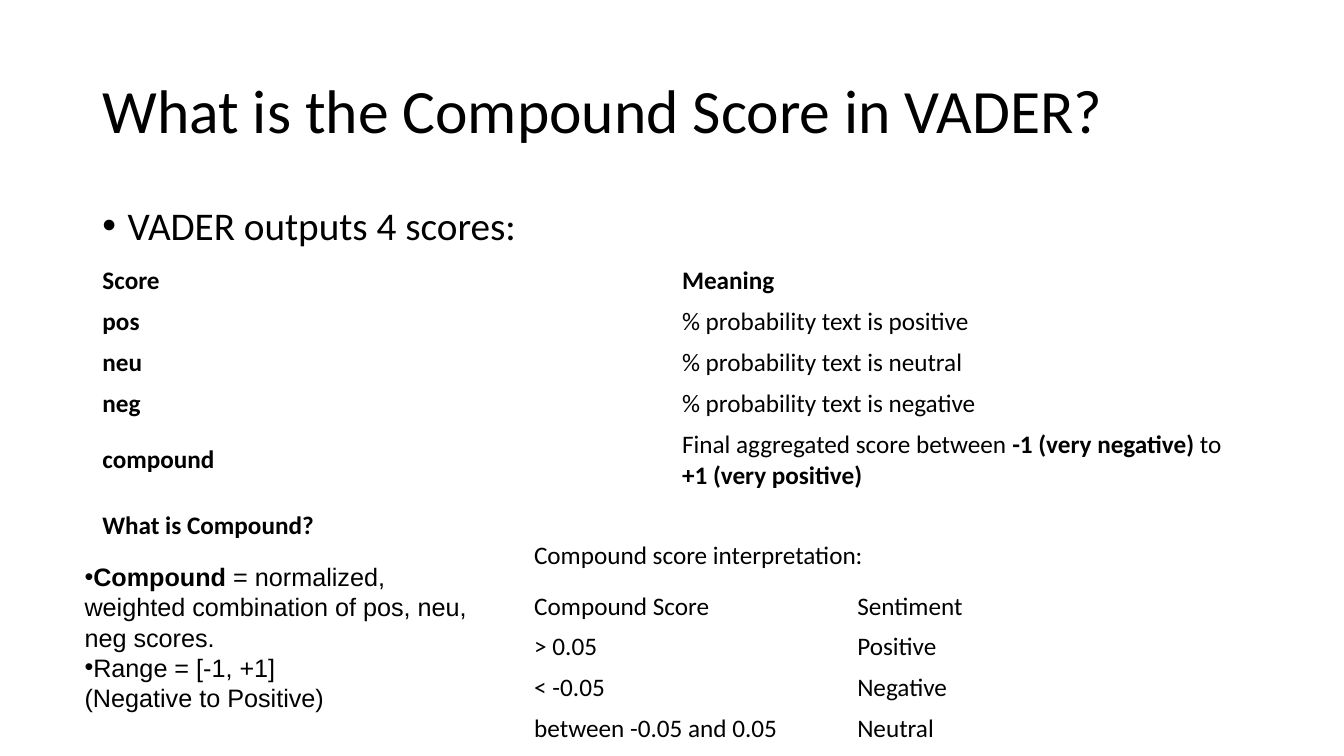
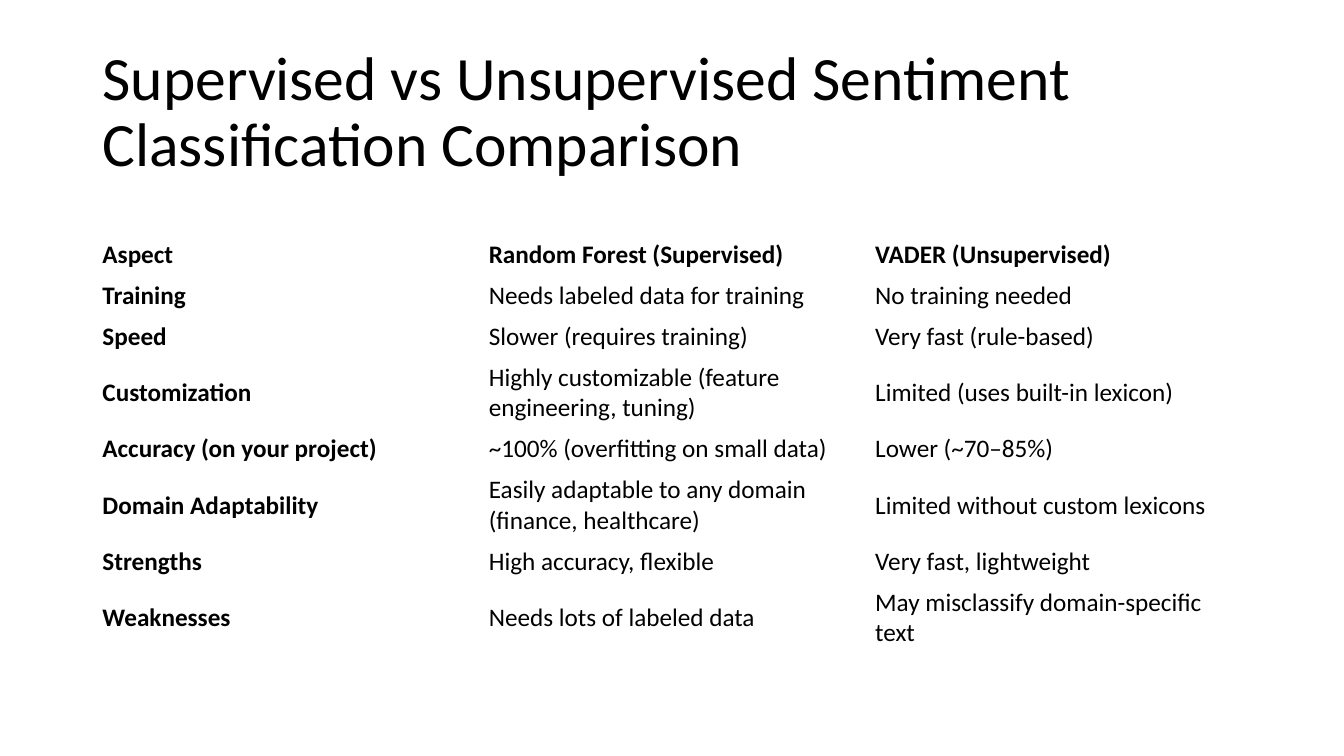
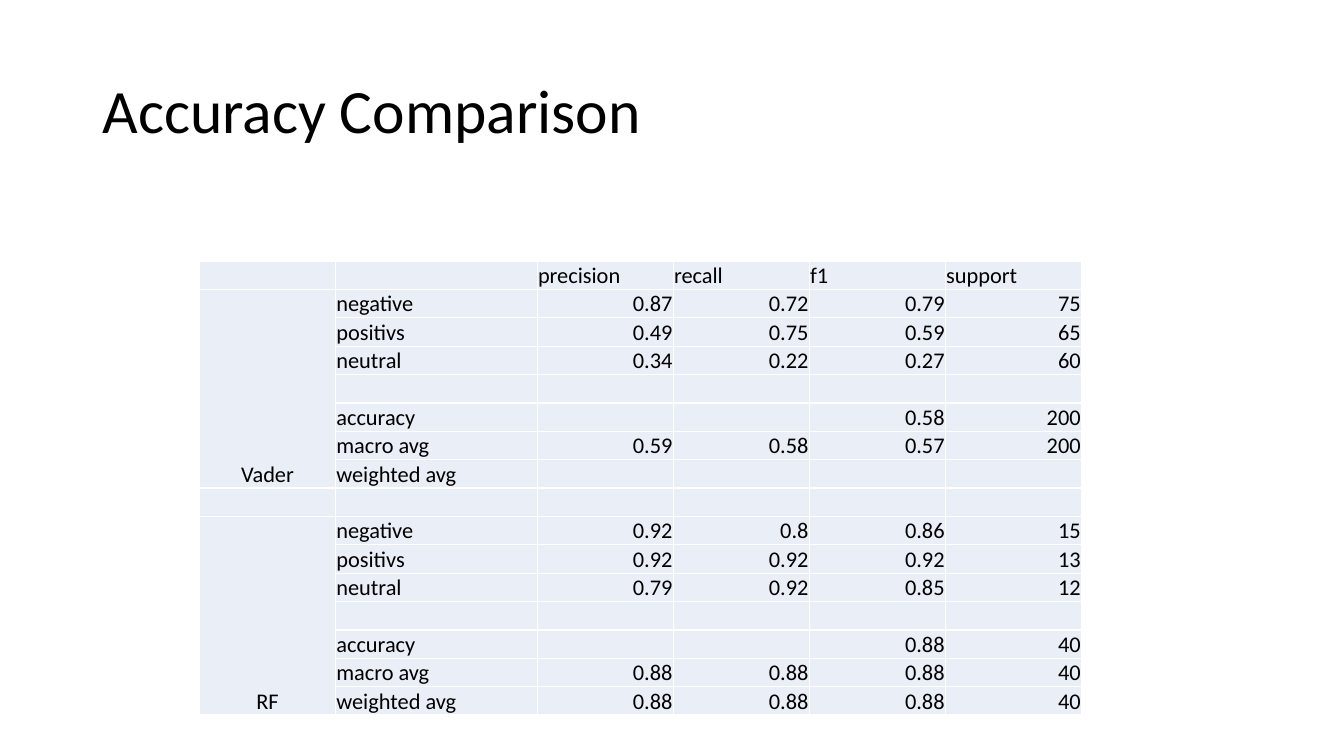
from collections import namedtuple
from dataclasses import dataclass

from pptx import Presentation
from pptx.dml.color import RGBColor
from pptx.enum.text import MSO_ANCHOR, MSO_AUTO_SIZE, PP_ALIGN
from pptx.oxml.xmlchemy import OxmlElement
from pptx.util import Pt

LEFT, CENTER, RIGHT = PP_ALIGN.LEFT, PP_ALIGN.CENTER, PP_ALIGN.RIGHT
TOP, MIDDLE, BOTTOM = MSO_ANCHOR.TOP, MSO_ANCHOR.MIDDLE, MSO_ANCHOR.BOTTOM
NO_FIT, GROW = MSO_AUTO_SIZE.NONE, MSO_AUTO_SIZE.SHAPE_TO_FIT_TEXT
TITLE_AND_CONTENT, TITLE_ONLY = 1, 5

Box = namedtuple("Box", "left top width height")


@dataclass(frozen=True)
class Theme:
    font: str = "Calibri"
    note_font: str = "Arial"
    ink: RGBColor = RGBColor(0, 0, 0)
    cell_fill: RGBColor = RGBColor(0xEA, 0xEF, 0xF7)
    border: str = "FFFFFF"
    title_size: float = 44
    list_size: float = 28
    text_size: float = 18
    grid_size: float = 16
    line_spacing: float = 0.9
    title_box: Box = Box(66, 28.8, 828, 104.4)


THEME = Theme()

SCORES = [
    ["**Score**", "**Meaning**"],
    ["**pos**", "% probability text is positive"],
    ["**neu**", "% probability text is neutral"],
    ["**neg**", "% probability text is negative"],
    ["**compound**",
     "Final aggregated score between **-1 (very negative)** to **+1 (very positive)**"],
]
INTERPRETATION = [
    ["Compound Score", "Sentiment"],
    ["> 0.05", "Positive"],
    ["< -0.05", "Negative"],
    ["between -0.05 and 0.05", "Neutral"],
]
COMPARISON = [
    ["**Aspect**", "**Random Forest (Supervised)**", "**VADER (Unsupervised)**"],
    ["**Training**", "Needs labeled data for training", "No training needed"],
    ["**Speed**", "Slower (requires training)", "Very fast (rule-based)"],
    ["**Customization**", "Highly customizable (feature engineering, tuning)",
     "Limited (uses built-in lexicon)"],
    ["**Accuracy (on your project)**", "~100% (overfitting on small data)",
     "Lower (~70–85%)"],
    ["**Domain Adaptability**", "Easily adaptable to any domain (finance, healthcare)",
     "Limited without custom lexicons"],
    ["**Strengths**", "High accuracy, flexible", "Very fast, lightweight"],
    ["**Weaknesses**", "Needs lots of labeled data",
     "May misclassify domain-specific text"],
]
METRICS = ["precision", "recall", "f1", "support"]
RESULT_LABELS = ["negative", "positivs", "neutral", "",
                 "accuracy", "macro avg", "weighted avg"]
BLANK = [""] * len(METRICS)
RESULTS = {
    "Vader": [
        ["0.87", "0.72", "0.79", "75"],
        ["0.49", "0.75", "0.59", "65"],
        ["0.34", "0.22", "0.27", "60"],
        BLANK,
        ["", "", "0.58", "200"],
        ["0.59", "0.58", "0.57", "200"],
        BLANK,
    ],
    "RF": [
        ["0.92", "0.8", "0.86", "15"],
        ["0.92", "0.92", "0.92", "13"],
        ["0.79", "0.92", "0.85", "12"],
        BLANK,
        ["", "", "0.88", "40"],
        ["0.88", "0.88", "0.88", "40"],
        ["0.88", "0.88", "0.88", "40"],
    ],
}


def in_points(box):
    return [Pt(length) for length in box]


def write(paragraph, text, size, font=THEME.font):
    """Write text in which **double stars** enclose bold words and \\n breaks a line."""
    for part_index, part in enumerate(text.split("**")):
        for line_index, line in enumerate(part.split("\n")):
            if line_index:
                paragraph.add_line_break()
            if not line:
                continue
            run = paragraph.add_run()
            run.text = line
            run.font.name = font
            run.font.size = Pt(size)
            run.font.bold = part_index % 2 == 1
            run.font.color.rgb = THEME.ink
    if not text:
        end_properties = OxmlElement("a:endParaRPr")
        end_properties.set("sz", str(int(size * 100)))
        paragraph._p.append(end_properties)


def set_bullet(paragraph, indent=0):
    properties = paragraph._p.get_or_add_pPr()
    properties.set("marL", str(Pt(indent)))
    properties.set("indent", str(-Pt(indent)))
    bullet_font = OxmlElement("a:buFont")
    bullet_font.set("typeface", "Arial")
    bullet = OxmlElement("a:buChar")
    bullet.set("char", "•")
    properties.extend([bullet_font, bullet])


def fill_placeholder(shape, box, text, size, anchor):
    shape.left, shape.top, shape.width, shape.height = in_points(box)
    frame = shape.text_frame
    frame.auto_size = NO_FIT
    frame.vertical_anchor = anchor
    paragraph = frame.paragraphs[0]
    paragraph.alignment = LEFT
    paragraph.line_spacing = THEME.line_spacing
    write(paragraph, text, size)
    return paragraph


def add_slide(presentation, layout, title):
    slide = presentation.slides.add_slide(presentation.slide_layouts[layout])
    fill_placeholder(slide.shapes.title, THEME.title_box, title,
                     THEME.title_size, MIDDLE)
    return slide


def add_label(slide, box, text):
    frame = slide.shapes.add_textbox(*in_points(box)).text_frame
    frame.word_wrap = False
    frame.auto_size = GROW
    write(frame.paragraphs[0], text, THEME.text_size)


def add_notes_list(slide, box, items):
    frame = slide.shapes.add_textbox(*in_points(box)).text_frame
    frame.word_wrap = True
    frame.auto_size = GROW
    frame.vertical_anchor = MIDDLE
    for index, item in enumerate(items):
        paragraph = frame.add_paragraph() if index else frame.paragraphs[0]
        set_bullet(paragraph)
        write(paragraph, item, THEME.text_size, THEME.note_font)


def add_plain_table(slide, box, rows, column_widths, size):
    """Add an unfilled table whose rows share the height of the box."""
    table = slide.shapes.add_table(len(rows), len(rows[0]), *in_points(box)).table
    table.first_row = table.horz_banding = False
    for column, width in zip(table.columns, column_widths):
        column.width = Pt(width)
    for row, texts in zip(table.rows, rows):
        row.height = Pt(round(box.height / len(rows), 2))
        for cell, text in zip(row.cells, texts):
            cell.fill.background()
            cell.vertical_anchor = MIDDLE
            write(cell.text_frame.paragraphs[0], text, size)
    return table


def add_text_table(slide, left, top, width, rows):
    columns = len(rows[0])
    minimum_row = 29
    box = Box(left, top, width, minimum_row * len(rows))
    add_plain_table(slide, box, rows, [width / columns] * columns, THEME.text_size)


def add_borders(cell):
    properties = cell._tc.get_or_add_tcPr()
    for index, side in enumerate(("lnL", "lnR", "lnT", "lnB")):
        line = OxmlElement(f"a:{side}")
        line.set("w", str(Pt(1)))
        fill = OxmlElement("a:solidFill")
        color = OxmlElement("a:srgbClr")
        color.set("val", THEME.border)
        fill.append(color)
        line.append(fill)
        properties.insert(index, line)


def add_results_table(slide, box):
    rows = [["", ""] + METRICS]
    group_starts = []
    for name, values in RESULTS.items():
        if group_starts:
            rows.append(["", ""] + BLANK)
        group_starts.append(len(rows))
        for index, (label, numbers) in enumerate(zip(RESULT_LABELS, values)):
            rows.append(["" if index else name, label] + numbers)

    label_width = 144
    metric_width = (box.width - label_width) / (len(METRICS) + 1)
    widths = [metric_width, label_width] + [metric_width] * len(METRICS)
    table = add_plain_table(slide, box, rows, widths, THEME.grid_size)
    for row_index, row in enumerate(table.rows):
        for column_index, cell in enumerate(row.cells):
            cell.fill.solid()
            cell.fill.fore_color.rgb = THEME.cell_fill
            cell.vertical_anchor = BOTTOM
            cell.margin_left = cell.margin_right = cell.margin_top = Pt(0.6)
            cell.margin_bottom = 0
            add_borders(cell)
            paragraph = cell.text_frame.paragraphs[0]
            if column_index == 0:
                paragraph.alignment = CENTER
            elif column_index > 1 and row_index:
                paragraph.alignment = RIGHT
    for start in group_starts:
        last = start + len(RESULT_LABELS) - 1
        table.cell(start, 0).merge(table.cell(last, 0))


def build_compound_slide(presentation):
    slide = add_slide(presentation, TITLE_AND_CONTENT,
                      "What is the Compound Score in VADER?")
    left, _, width, _ = THEME.title_box
    item = fill_placeholder(slide.placeholders[1], Box(left, 144, width, 215.3),
                            "VADER outputs 4 scores:", THEME.list_size, TOP)
    item.space_before = Pt(10)
    set_bullet(item, 18)
    add_text_table(slide, left, 186.2, width, SCORES)
    add_label(slide, Box(left, 360, 167, 29), "**What is Compound?**")
    add_notes_list(slide, Box(53.3, 396.7, 296.6, 116.6), [
        "**Compound** = normalized, weighted combination of pos, neu, neg scores.",
        "Range = [-1, +1]\n(Negative to Positive)",
    ])
    add_label(slide, Box(374.4, 382, 252, 29), "Compound score interpretation:")
    add_text_table(slide, 374.4, 418.8, 461.5, INTERPRETATION)


def build_comparison_slide(presentation):
    slide = add_slide(presentation, TITLE_ONLY,
                      "Supervised vs Unsupervised Sentiment Classification Comparison")
    add_text_table(slide, THEME.title_box.left, 167.5, THEME.title_box.width, COMPARISON)


def build_accuracy_slide(presentation):
    slide = add_slide(presentation, TITLE_ONLY, "Accuracy Comparison")
    add_results_table(slide, Box(142.5, 186.5, 630, 324.5))


def main():
    presentation = Presentation()
    presentation.slide_width, presentation.slide_height = Pt(960), Pt(540)
    build_compound_slide(presentation)
    build_comparison_slide(presentation)
    build_accuracy_slide(presentation)
    presentation.save("out.pptx")


if __name__ == "__main__":
    main()
